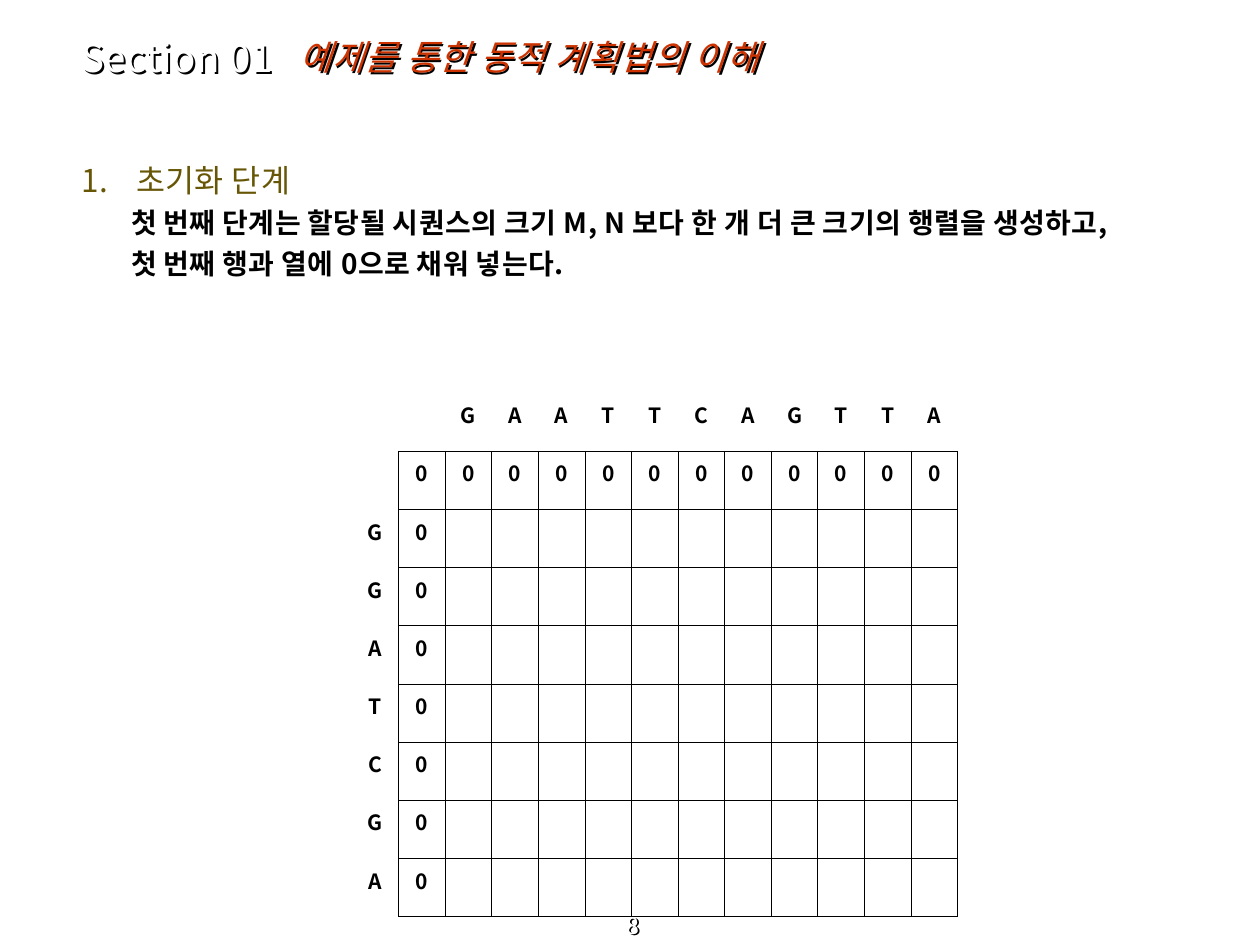
from lxml.etree import SubElement as Sub
from pptx import Presentation
from pptx.dml.color import RGBColor as RGB
from pptx.enum.text import MSO_ANCHOR as Anchor, PP_ALIGN as Align
from pptx.oxml import parse_xml
from pptx.oxml.ns import nsdecls, qn
from pptx.util import Pt

FONT = "Noto Sans CJK KR"
SCALE = 914400 / 126
SHADE = (
    f'<a:effectLst {nsdecls("a")}><a:outerShdw dist="17961" dir="2700000">'
    '<a:srgbClr val="000000"/></a:outerShdw></a:effectLst>'
)


def px(num):
    return round(num * SCALE)


def write(para, text, size=16, color="000000", bold=False, italic=False,
          align=Align.LEFT):
    para.alignment = align
    run = para.add_run()
    run.text = text
    font = run.font
    font.size, font.bold, font.italic = Pt(size), bold, italic
    font.color.rgb = RGB.from_string(color)
    font.name = FONT
    Sub(font._element, qn("a:ea"), typeface=FONT)
    font._element.set("spc", str(round(size * 1.6)))


deck = Presentation()
deck.slide_width, deck.slide_height = px(1260), px(945)
slide = deck.slides.add_slide(deck.slide_layouts[6])
shapes = slide.shapes

# Heading and page number, with shadowed text
labels = [
    ((6, 917, 1254, 28), Anchor.BOTTOM, "8",
     dict(size=13, color="FFFFFF", align=Align.CENTER)),
    ((69, 34, 243, 47), Anchor.MIDDLE, "Section 01",
     dict(size=22, color="FFFFFF")),
    ((287, 14, 818, 86), Anchor.MIDDLE, "예제를 통한 동적 계획법의 이해",
     dict(size=20, color="CC3300", italic=True)),
]
for rect, anchor, text, style in labels:
    box = shapes.add_textbox(*map(px, rect))
    box._element.spPr.append(parse_xml(SHADE))
    frame = box.text_frame
    frame.word_wrap = True
    frame.vertical_anchor = anchor
    write(frame.paragraphs[0], text, **style)

# Alignment matrix: sequences on the outside, zeros in first row and column
top, side = "GAATTCAGTTA", "GGATCGA"
rows, cols = len(side) + 2, len(top) + 2
table = shapes.add_table(rows, cols, px(352), px(393), px(606), px(524)).table
table.first_row = table.horz_banding = False
for r in range(rows):
    for c in range(cols):
        cell = table.cell(r, c)
        props = cell._tc.get_or_add_tcPr()
        edges = {"lnL": r and c, "lnR": r, "lnT": r and c, "lnB": c}
        for name, shown in edges.items():
            line = Sub(props, qn(f"a:{name}"), w=str(Pt(0.45)))
            if shown:
                fill = Sub(line, qn("a:solidFill"))
                Sub(fill, qn("a:srgbClr"), val="000000")
            else:
                Sub(line, qn("a:noFill"))
        cell.fill.background()
        if r == 0:
            text = top[c - 2] if c > 1 else ""
        elif c == 0:
            text = side[r - 2] if r > 1 else ""
        else:
            text = "0" if r == 1 or c == 1 else ""
        if text:
            write(cell.text_frame.paragraphs[0], text, size=12, bold=True,
                  align=Align.CENTER)

# Step description
frame = shapes.add_textbox(*map(px, (76, 155, 1180, 128))).text_frame
frame.word_wrap = True
frame.margin_left = frame.margin_right = 0
head = frame.paragraphs[0]
props = head._p.get_or_add_pPr()
props.set("marL", str(px(60)))
props.set("indent", str(px(-54)))
Sub(props, qn("a:buFont"), typeface=FONT)
Sub(props, qn("a:buAutoNum"), type="arabicPeriod")
write(head, "초기화 단계", size=18, color="665606")
for text in (
    "첫 번째 단계는 할당될 시퀀스의 크기 M, N 보다 한 개 더 큰 크기의 행렬을 생성하고,",
    "첫 번째 행과 열에 0으로 채워 넣는다.",
):
    para = frame.add_paragraph()
    para._p.get_or_add_pPr().set("marL", str(px(55)))
    para.space_before = Pt(4)
    write(para, text, bold=True)

deck.save("out.pptx")
